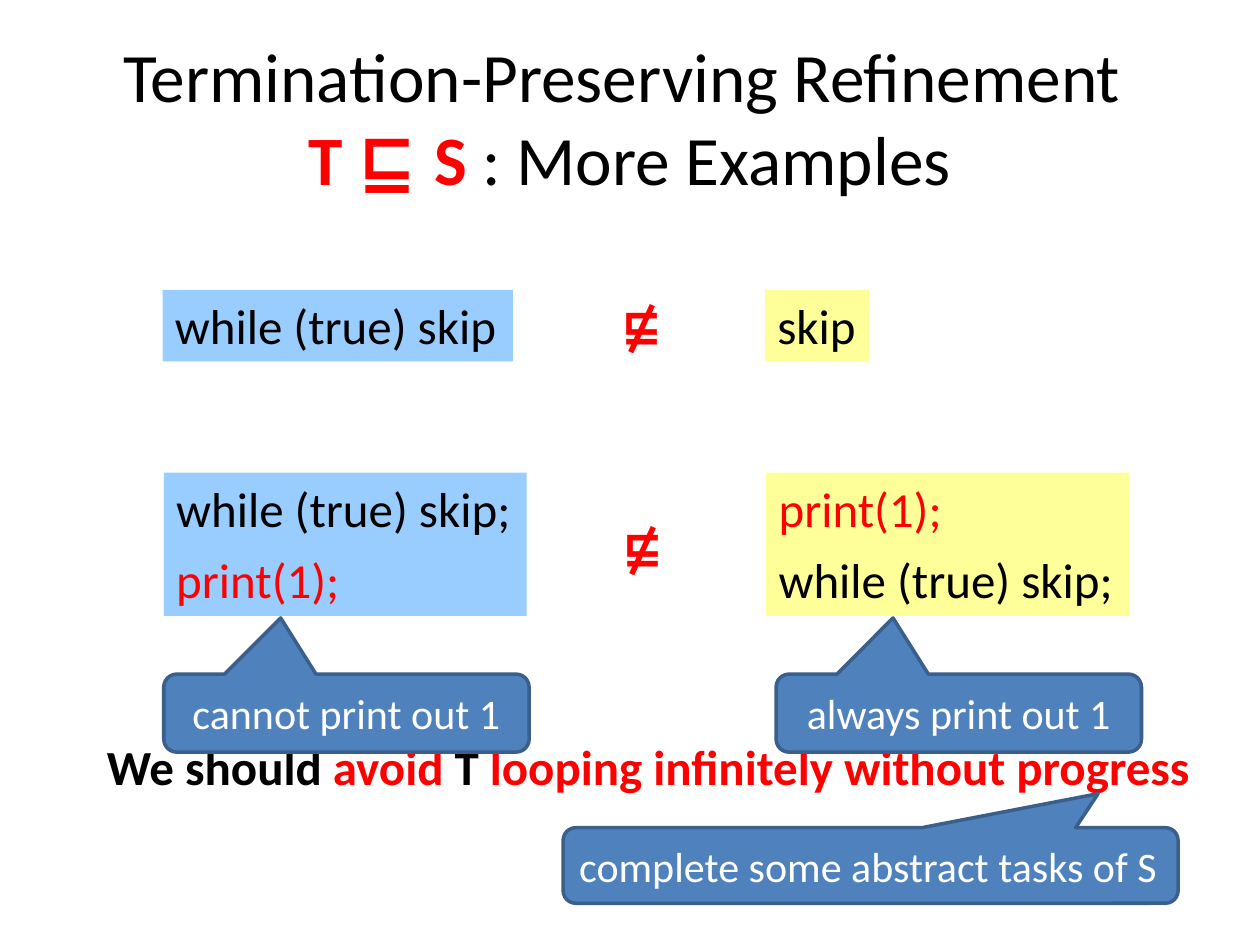
from pptx import Presentation
from pptx.dml.color import RGBColor
from pptx.enum.shapes import MSO_SHAPE as Shape
from pptx.enum.text import MSO_ANCHOR as Anchor, MSO_AUTO_SIZE as AutoSize, PP_ALIGN as Align
from pptx.util import Pt

BLACK, RED, WHITE = "000000", "FF0000", "FFFFFF"
BLUE, YELLOW = "99CCFF", "FFFF99"
CALLOUT_FILL, CALLOUT_LINE = "4F81BD", "3A5F8C"
LINE_HEIGHT = 41


def color(value):
    return RGBColor.from_string(value)


def add_text(paragraph, text, size=28, font="Calibri", fill=BLACK, bold=False):
    run = paragraph.add_run()
    run.text = text
    run.font.size = Pt(size)
    run.font.name = font
    run.font.bold = bold
    run.font.color.rgb = color(fill)


def add_title(slide, left, top, width, height):
    title = slide.shapes.title
    title.left, title.top, title.width, title.height = map(Pt, (left, top, width, height))
    frame = title.text_frame
    frame.auto_size = AutoSize.NONE
    frame.vertical_anchor = Anchor.MIDDLE
    paragraph = frame.paragraphs[0]
    paragraph.alignment = Align.CENTER
    add_text(paragraph, "Termination-Preserving Refinement ", size=39.6)
    paragraph.add_line_break()
    add_text(paragraph, "T ", size=39.6, fill=RED, bold=True)
    add_text(paragraph, "⊑ ", size=39.6, font="Roboto", fill=RED, bold=True)
    add_text(paragraph, "S", size=39.6, fill=RED, bold=True)
    add_text(paragraph, " : More Examples", size=39.6)


def add_box(slide, left, top, width, height, fill=None):
    """Add an unwrapped text box that grows with its text."""
    box = slide.shapes.add_textbox(Pt(left), Pt(top), Pt(width), Pt(height))
    box.text_frame.word_wrap = False
    box.text_frame.auto_size = AutoSize.SHAPE_TO_FIT_TEXT
    if fill:
        box.fill.solid()
        box.fill.fore_color.rgb = color(fill)
    return box.text_frame


def add_program(slide, left, top, width, height, fill, lines):
    frame = add_box(slide, left, top, width, height, fill)
    for index, line in enumerate(lines):
        paragraph = frame.paragraphs[0]
        if index:
            paragraph = frame.add_paragraph()
            paragraph.space_before = Pt(6.8)
        add_text(paragraph, line, fill=RED if line.startswith("print") else BLACK)


def add_example(slide, left, top, height, target, target_width,
                abstract, abstract_width, relation_drop=0):
    """Place a target program, the relation sign and an abstract program in a row."""
    add_program(slide, left, top, target_width, height, BLUE, target)
    add_program(slide, left + 344.2, top, abstract_width, height, YELLOW, abstract)
    relation = add_box(slide, left + 255, top + relation_drop, 34.5, LINE_HEIGHT)
    add_text(relation.paragraphs[0], "⋢", font="Roboto", fill=RED, bold=True)


def add_conclusion(slide, left, top, width, height):
    paragraph = add_box(slide, left, top, width, height).paragraphs[0]
    for text, fill in (("We should ", BLACK), ("avoid", RED), (" T ", BLACK),
                       ("looping infinitely without progress", RED)):
        add_text(paragraph, text, fill=fill, bold=True)


def add_callout(slide, left, top, width, height, text, tip, alignment=Align.CENTER):
    callout = slide.shapes.add_shape(Shape.ROUNDED_RECTANGULAR_CALLOUT,
                                     Pt(left), Pt(top), Pt(width), Pt(height))
    callout.shadow.inherit = False
    callout.adjustments[0], callout.adjustments[1] = tip
    callout.fill.solid()
    callout.fill.fore_color.rgb = color(CALLOUT_FILL)
    callout.line.color.rgb = color(CALLOUT_LINE)
    callout.line.width = Pt(2)
    frame = callout.text_frame
    frame.word_wrap = True
    frame.vertical_anchor = Anchor.MIDDLE
    frame.paragraphs[0].alignment = alignment
    add_text(frame.paragraphs[0], text, size=24, fill=WHITE)


def main():
    presentation = Presentation()
    presentation.slide_width, presentation.slide_height = Pt(720), Pt(540)
    slide = presentation.slides.add_slide(presentation.slide_layouts[5])

    add_title(slide, 36, 21.6, 648, 90)
    add_example(slide, 92.9, 165.6, LINE_HEIGHT,
                ["while (true) skip"], 200.2, ["skip"], 59.8)
    add_example(slide, 93.6, 270, 2 * LINE_HEIGHT,
                ["while (true) skip;", "print(1);"], 207.4,
                ["print(1);", "while (true) skip;"], 207.4, relation_drop=22.3)
    add_conclusion(slide, 54, 417.6, 640, LINE_HEIGHT)
    for left, text in ((93.6, "cannot print out 1"), (443.5, "always print out 1")):
        add_callout(slide, left, 385.2, 208.8, 44.6, text, (-0.18, -1.22))
    add_callout(slide, 321.8, 473, 351.4, 43.2, "complete some abstract tasks of S",
                (0.37, -0.95), Align.LEFT)

    presentation.save("out.pptx")


if __name__ == "__main__":
    main()
